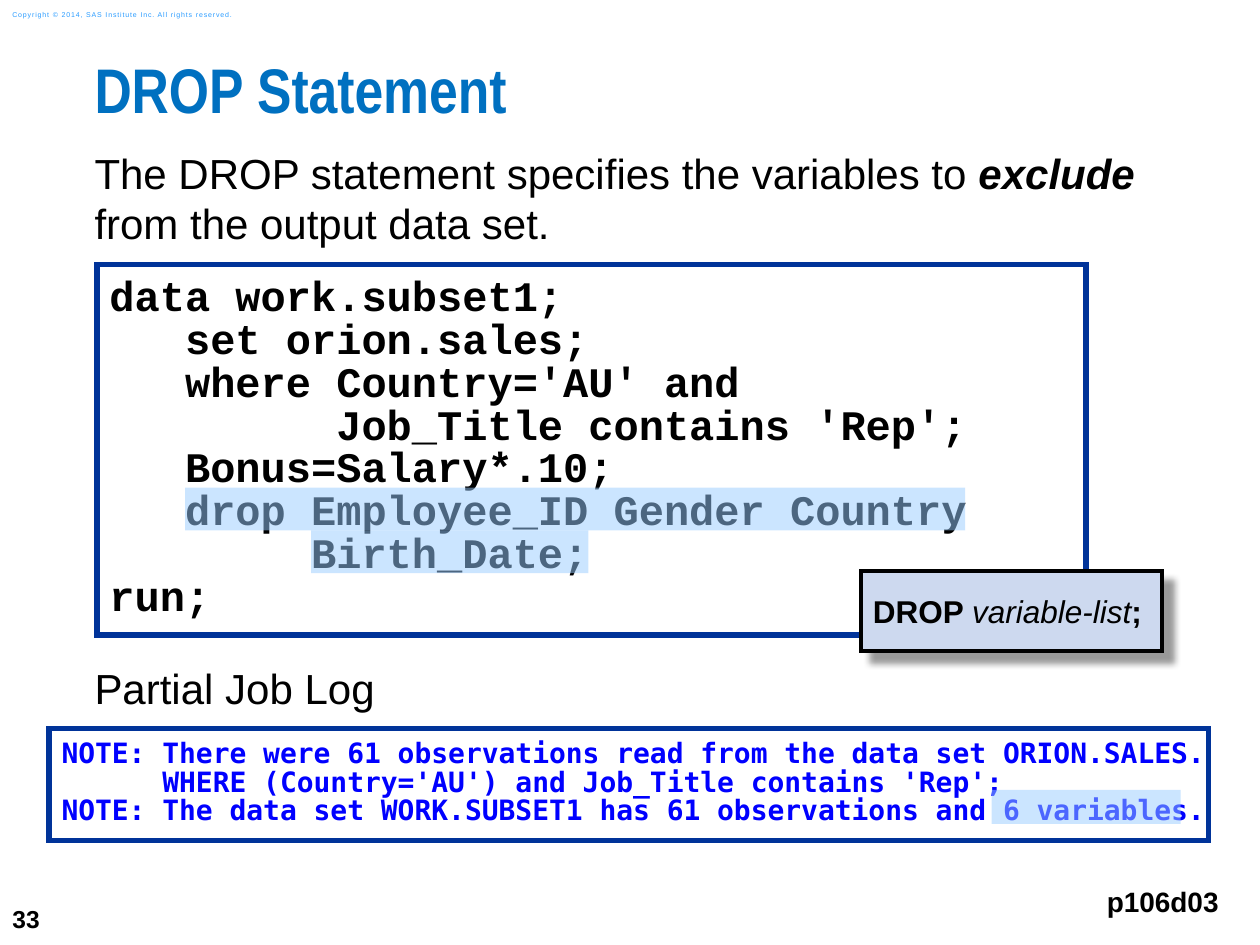
from dataclasses import dataclass, field

from lxml import etree
from pptx import Presentation
from pptx import util as u
from pptx.dml.color import RGBColor
from pptx.enum import shapes, text
from pptx.oxml.ns import qn

COLORS = {
    "white": "FFFFFF", "black": "000000", "navy": "003399", "title": "0070C0",
    "log": "0000FF", "highlight": "99CCFF", "callout": "CDD9EF", "copyright": "2A9CFF",
}
WIDTH, HEIGHT = u.Inches(10), u.Inches(7.5)

CODE = """data work.subset1;
   set orion.sales;
   where Country='AU' and
         Job_Title contains 'Rep';
   Bonus=Salary*.10;
   drop Employee_ID Gender Country
        Birth_Date;
run;"""
LOG = """NOTE: There were 61 observations read from the data set ORION.SALES.
      WHERE (Country='AU') and Job_Title contains 'Rep';
NOTE: The data set WORK.SUBSET1 has 61 observations and 6 variables."""


@dataclass
class Area:
    """A rectangle in percent of the slide's width and height."""
    left: float
    top: float
    width: float
    height: float

    def lengths(self) -> tuple:
        return (int(WIDTH * self.left / 100), int(HEIGHT * self.top / 100),
                int(WIDTH * self.width / 100), int(HEIGHT * self.height / 100))


@dataclass
class Style:
    size: float
    font: str = "Arial"
    color: str = "black"
    bold: bool = False
    insets: tuple = (0.1, 0.1, 0.1, 0.1)
    wrap: bool = True
    paragraph: dict = field(default_factory=dict)
    anchor: text.MSO_ANCHOR = text.MSO_ANCHOR.TOP


def rgb(name: str) -> RGBColor:
    return RGBColor.from_string(COLORS[name])


def set_attributes(target, values: dict) -> None:
    for name, value in values.items():
        setattr(target, name, value)


def write(shape, paragraphs: list, style: Style) -> None:
    """Each paragraph is a list of (wording, font overrides) runs."""
    frame = shape.text_frame
    left, top, right, bottom = map(u.Inches, style.insets)
    set_attributes(frame, {
        "margin_left": left, "margin_top": top, "margin_right": right,
        "margin_bottom": bottom, "word_wrap": style.wrap,
        "auto_size": text.MSO_AUTO_SIZE.NONE, "vertical_anchor": style.anchor,
    })
    for index, runs in enumerate(paragraphs):
        paragraph = frame.add_paragraph() if index else frame.paragraphs[0]
        set_attributes(paragraph, {"alignment": text.PP_ALIGN.LEFT, **style.paragraph})
        for wording, overrides in runs:
            run = paragraph.add_run()
            run.text = wording
            set_attributes(run.font, {"size": u.Pt(style.size), "name": style.font,
                                      "bold": style.bold, **overrides})
            run.font.color.rgb = rgb(style.color)


def lines(wording: str) -> list:
    return [[(line, {})] for line in wording.split("\n")]


def add_text(slide, area: Area, paragraphs: list, style: Style):
    shape = slide.shapes.add_textbox(*area.lengths())
    write(shape, paragraphs, style)
    return shape


def add_panel(slide, area: Area, fill: str, line: str = "", line_width: float = 0):
    shape = slide.shapes.add_shape(shapes.MSO_SHAPE.RECTANGLE, *area.lengths())
    shape.shadow.inherit = False
    shape.fill.solid()
    shape.fill.fore_color.rgb = rgb(fill)
    if line:
        shape.line.color.rgb = rgb(line)
        shape.line.width = u.Pt(line_width)
        etree.SubElement(shape._element.spPr.find(qn("a:ln")), qn("a:miter"), lim="800000")
    else:
        shape.line.fill.background()
    return shape


def set_alpha(color_element, percent: int) -> None:
    etree.SubElement(color_element, qn("a:alpha")).set("val", str(percent * 1000))


def add_highlight(slide, area: Area) -> None:
    shape = add_panel(slide, area, "highlight")
    set_alpha(shape._element.spPr.find(".//" + qn("a:srgbClr")), 50)


def add_shadow(shape, blur: float, distance: float, degrees: int, opacity: int) -> None:
    effects = shape._element.spPr.find(qn("a:effectLst"))
    shadow = etree.SubElement(effects, qn("a:outerShdw"), {
        "blurRad": str(u.Pt(blur)), "dist": str(u.Pt(distance)),
        "dir": str(degrees * 60000), "algn": "tl", "rotWithShape": "0"})
    color = etree.SubElement(shadow, qn("a:srgbClr"), val=COLORS["black"])
    set_alpha(color, opacity)


def main() -> None:
    presentation = Presentation()
    presentation.slide_width, presentation.slide_height = WIDTH, HEIGHT
    slide = presentation.slides.add_slide(presentation.slide_layouts[5])

    title = slide.shapes.title
    set_attributes(title, dict(zip(("left", "top", "width", "height"),
                                   Area(7.5, 6.67, 92.5, 9.87).lengths())))
    write(title, lines("DROP Statement"),
          Style(36, "Arial Narrow", "title", True, (0, 0, 0, 0),
                paragraph={"line_spacing": 0.83}))

    small_insets = (0.1, 0.05, 0.1, 0.05)
    add_text(slide, Area(0, 94.4, 5.8, 5.6), lines("33"),
             Style(14, bold=True, insets=small_insets, wrap=False,
                   anchor=text.MSO_ANCHOR.MIDDLE))
    notice = add_text(slide, Area(0, 0.4, 21.1, 2.27),
                      lines("Copyright © 2014, SAS Institute Inc. All rights reserved."),
                      Style(4, color="copyright", insets=small_insets, wrap=False,
                            anchor=text.MSO_ANCHOR.MIDDLE))
    notice.text_frame.paragraphs[0].runs[0].font._element.set("spc", "50")

    body = Style(24, insets=(0, 0, 0, 0), paragraph={"line_spacing": 1.0})
    add_text(slide, Area(7.5, 15.6, 85.8, 11.5),
             [[("The DROP statement specifies the variables to ", {}),
               ("exclude", {"bold": True, "italic": True}),
               (" from the output data set.", {})]], body)
    add_text(slide, Area(7.5, 70.13, 85.8, 6), lines("Partial Job Log"), body)

    tight = {"line_spacing": 0.85}
    log = add_panel(slide, Area(3.9, 77.07, 92, 11.87), "white", "navy", 3)
    write(log, lines(LOG), Style(16, "DejaVu Sans Mono", "log", True,
                                 (0.1, 0.1, 0, 0.1), False, tight))
    code = add_panel(slide, Area(7.7, 28, 78.5, 39.2), "white", "navy", 3)
    write(code, lines(CODE), Style(24, "Courier New", bold=True,
                                   insets=(0.1, 0.1, 0.29, 0.1), paragraph=tight))

    for area in (Area(78.7, 83.6, 15, 3.6), Area(14.7, 51.6, 61.9, 4.53),
                 Area(24.7, 56.13, 22, 4.53)):
        add_highlight(slide, area)

    callout = add_panel(slide, Area(68.3, 60.4, 23.9, 8.53), "callout", "black", 2.25)
    add_shadow(callout, blur=4, distance=8.5, degrees=45, opacity=40)
    write(callout, [[("DROP ", {}), ("variable-list", {"bold": False, "italic": True}),
                     (";", {})]],
          Style(18, bold=True, insets=(0.1, 0.17, 0.1, 0.17)))

    add_text(slide, Area(86.8, 92.27, 10.9, 6.27), lines("p106d03"),
             Style(16, bold=True, wrap=False,
                   paragraph={"alignment": text.PP_ALIGN.RIGHT}))
    presentation.save("out.pptx")


if __name__ == "__main__":
    main()
